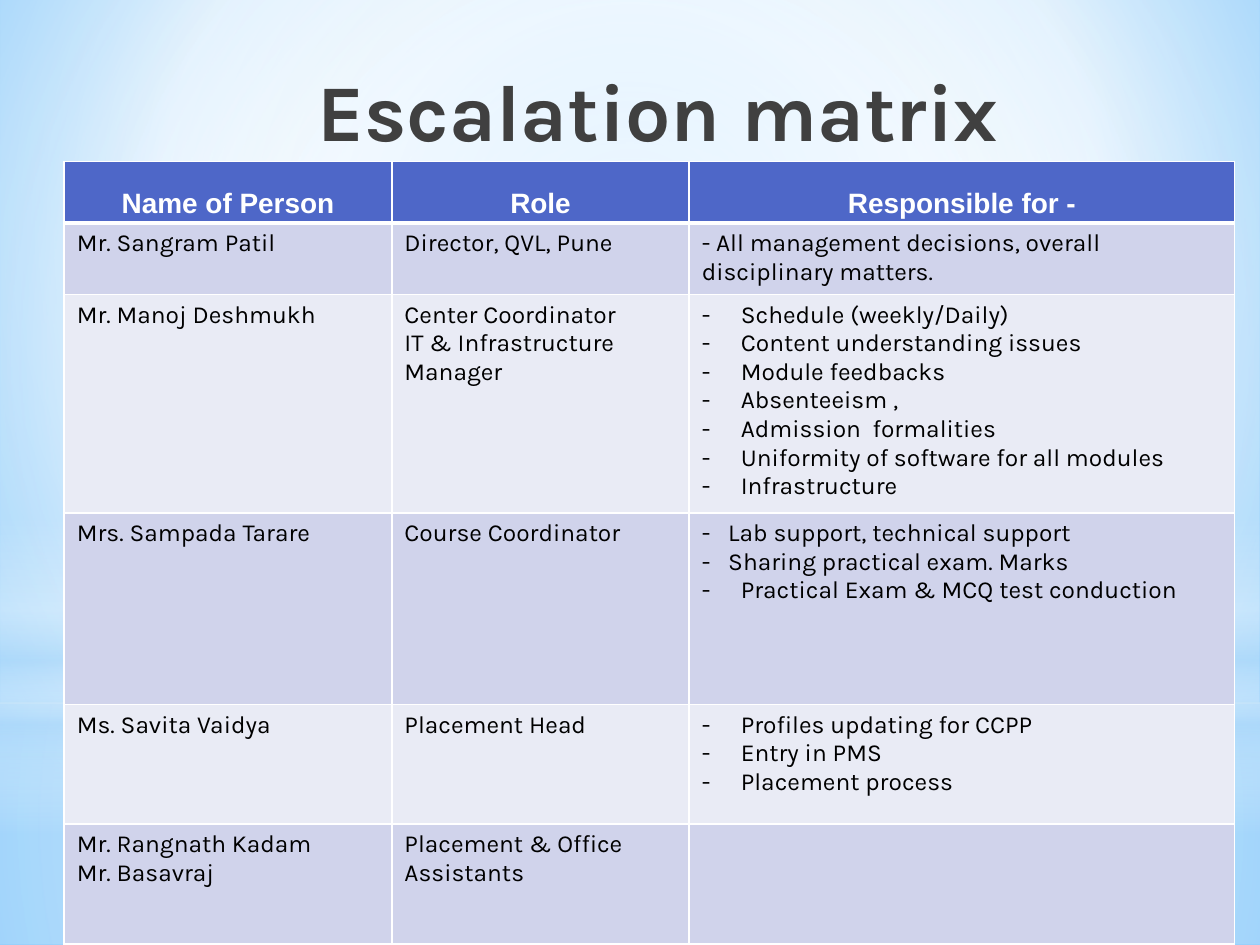
import lxml.etree
import pptx
import pptx.dml.color
import pptx.enum.shapes
import pptx.enum.text
import pptx.oxml
import pptx.oxml.ns
import pptx.util

Inches = pptx.util.Inches
Pt = pptx.util.Pt
ALIGN = pptx.enum.text.PP_ALIGN
ANCHOR = pptx.enum.text.MSO_ANCHOR
SHAPE = pptx.enum.shapes.MSO_SHAPE
qn = pptx.oxml.ns.qn

COLORS = {
    "sky": "9ED5FF", "deep_sky": "5BB9FF", "mist": "B4DCFA", "white": "FFFFFF",
    "title": "404040", "text": "000000",
    "header": "4E67C8", "band_dark": "D0D3EB", "band_light": "E9EBF5",
}
CENTER = (50, 50, 50, 50)
COLUMNS = [2.6, 2.36, 4.33]
ROWS = [0.49, 0.42, 1.24, 1.52, 0.95, 0.95]
HEADINGS = ["Name of Person", "Role", "Responsible for -"]

# Each entry: names, roles, then duties as (text, hanging indent).
PEOPLE = [
    (["Mr. Sangram Patil"], ["Director, QVL, Pune"],
     [("- All management decisions, overall disciplinary matters.", 0)]),
    (["Mr. Manoj Deshmukh"], ["Center Coordinator", "IT & Infrastructure Manager"],
     [(duty, 0.31) for duty in (
         "Schedule (weekly/Daily)", "Content understanding issues",
         "Module feedbacks", "Absenteeism ,", "Admission  formalities",
         "Uniformity of software for all modules", "Infrastructure")]),
    (["Mrs. Sampada Tarare"], ["Course Coordinator"],
     [("Lab support, technical support", 0.21),
      ("Sharing practical exam. Marks", 0.21),
      ("Practical Exam & MCQ test conduction", 0.31)]),
    (["Ms. Savita Vaidya"], ["Placement Head"],
     [(duty, 0.31) for duty in (
         "Profiles updating for CCPP", "Entry in PMS", "Placement process")]),
    (["Mr. Rangnath Kadam", "Mr. Basavraj"], ["Placement & Office Assistants"], []),
]


def rgb(name):
    return pptx.dml.color.RGBColor.from_string(COLORS[name])


def write_paragraph(paragraph, text, *, size=14, font="Karla", color="text",
                    bold=False, align=ALIGN.LEFT, indent=0, line_spacing=None):
    """Write one formatted run; a positive indent makes a dash bullet."""
    paragraph.alignment = align
    if line_spacing:
        paragraph.line_spacing = Pt(line_spacing)
    if indent:
        properties = paragraph._p.get_or_add_pPr()
        properties.set("marL", str(Inches(indent)))
        properties.set("indent", str(-Inches(indent)))
        lxml.etree.SubElement(properties, qn("a:buFont")).set("typeface", font)
        lxml.etree.SubElement(properties, qn("a:buChar")).set("char", "-")
    run = paragraph.add_run()
    run.text = text
    run.font.size = Pt(size)
    run.font.name = font
    run.font.bold = bold
    run.font.color.rgb = rgb(color)


def replace_with_gradient(parent, stops, center=None):
    """Swap a solid fill for stops of (position, color, opacity).

    The gradient is circular around center, or runs downward without one.
    """
    stop_xml = "".join(
        f'<a:gs pos="{position * 1000}"><a:srgbClr val="{COLORS[color]}">'
        f'<a:alpha val="{opacity * 1000}"/></a:srgbClr></a:gs>'
        for position, color, opacity in stops)
    direction = '<a:lin ang="5400000" scaled="0"/>'
    if center:
        left, top, right, bottom = (side * 1000 for side in center)
        direction = (f'<a:path path="circle"><a:fillToRect l="{left}" t="{top}" '
                     f'r="{right}" b="{bottom}"/></a:path>')
    gradient = pptx.oxml.parse_xml(
        f'<a:gradFill {pptx.oxml.ns.nsdecls("a")} rotWithShape="1">'
        f'<a:gsLst>{stop_xml}</a:gsLst>{direction}</a:gradFill>')
    parent.replace(parent.find(qn("a:solidFill")), gradient)


class SlideBuilder:
    def __init__(self, presentation):
        self.slide = presentation.slides.add_slide(presentation.slide_layouts[6])
        self.border_color = "white"

    def background(self, stops, center):
        fill = self.slide.background.fill
        fill.solid()
        fill.fore_color.rgb = rgb("white")
        properties = self.slide.element.find(".//" + qn("p:bgPr"))
        replace_with_gradient(properties, stops, center)

    def glow(self, kind, top, height, stops, center=None):
        """Add a full-width translucent gradient shape."""
        shape = self.slide.shapes.add_shape(
            kind, 0, Inches(top), Inches(10), Inches(height))
        shape.shadow.inherit = False
        shape.line.fill.background()
        shape.fill.solid()
        replace_with_gradient(shape.element.spPr, stops, center)

    def title(self, text, left, top, width, height):
        box = self.slide.shapes.add_textbox(*map(Inches, (left, top, width, height)))
        frame = box.text_frame
        frame.word_wrap = True
        frame.margin_top = Inches(0.05)
        frame.margin_bottom = 0
        write_paragraph(frame.paragraphs[0], text, size=45.9, color="title",
                        bold=True, align=ALIGN.CENTER)

    def table(self, left, top, columns, rows):
        frame = self.slide.shapes.add_table(
            len(rows), len(columns), Inches(left), Inches(top),
            Inches(sum(columns)), Inches(sum(rows)))
        table = frame.table
        table.horz_banding = False
        for column, width in zip(table.columns, columns):
            column.width = Inches(width)
        for row, height in zip(table.rows, rows):
            row.height = Inches(height)
        return table

    def cell(self, cell, fill, top_border=1, bottom_border=1):
        cell.fill.solid()
        cell.fill.fore_color.rgb = rgb(fill)
        borders = {"L": 1, "R": 1, "T": top_border, "B": bottom_border}
        for index, (side, width) in enumerate(borders.items()):
            cell._tc.get_or_add_tcPr().insert(index, pptx.oxml.parse_xml(
                f'<a:ln{side} {pptx.oxml.ns.nsdecls("a")} w="{Pt(width)}"><a:solidFill>'
                f'<a:srgbClr val="{COLORS[self.border_color]}"/></a:solidFill></a:ln{side}>'))

    def header_cell(self, cell, text):
        self.cell(cell, "header", bottom_border=3)
        cell.margin_left = cell.margin_right = cell.margin_top = 0
        cell.margin_bottom = Inches(0.03)
        cell.vertical_anchor = ANCHOR.BOTTOM
        write_paragraph(cell.text_frame.paragraphs[0], text, size=16, font="Arial",
                        color="white", bold=True, align=ALIGN.CENTER, line_spacing=16.6)

    def body_cell(self, cell, lines, fill, top_border):
        self.cell(cell, fill, top_border)
        frame = cell.text_frame
        for index, (text, indent) in enumerate(lines):
            paragraph = frame.add_paragraph() if index else frame.paragraphs[0]
            write_paragraph(paragraph, text, indent=indent)


def main():
    presentation = pptx.Presentation()
    presentation.slide_width = Inches(10)
    presentation.slide_height = Inches(7.5)
    builder = SlideBuilder(presentation)

    builder.background([(0, "sky", 100), (60, "white", 100), (100, "deep_sky", 100)],
                       (20, 10, 20, 60))
    builder.glow(SHAPE.RECTANGLE, 5.58, 1.92,
                 [(0, "white", 91), (37, "white", 76), (100, "mist", 79)], CENTER)
    builder.glow(SHAPE.RECTANGLE, 0, 5.58,
                 [(0, "white", 89), (48, "white", 62), (100, "mist", 79)], CENTER)
    builder.glow(SHAPE.RECTANGLE, 4.12, 2.5,
                 [(0, "white", 0), (29, "white", 30), (45, "mist", 40),
                  (55, "white", 26), (65, "mist", 60), (100, "white", 0)])
    builder.glow(SHAPE.OVAL, 1.75, 5.58, [(0, "white", 100), (56, "white", 0)], CENTER)

    builder.title("Escalation matrix", 1.22, 0.44, 8, 0.79)
    table = builder.table(0.51, 1.28, COLUMNS, ROWS)
    for column, heading in enumerate(HEADINGS):
        builder.header_cell(table.cell(0, column), heading)
    for row, (names, roles, duties) in enumerate(PEOPLE, start=1):
        fill = "band_dark" if row % 2 else "band_light"
        plain = [[(text, 0) for text in texts] for texts in (names, roles)]
        for column, lines in enumerate([*plain, duties]):
            builder.body_cell(table.cell(row, column), lines, fill,
                              top_border=3 if row == 1 else 1)

    presentation.save("out.pptx")


if __name__ == "__main__":
    main()
